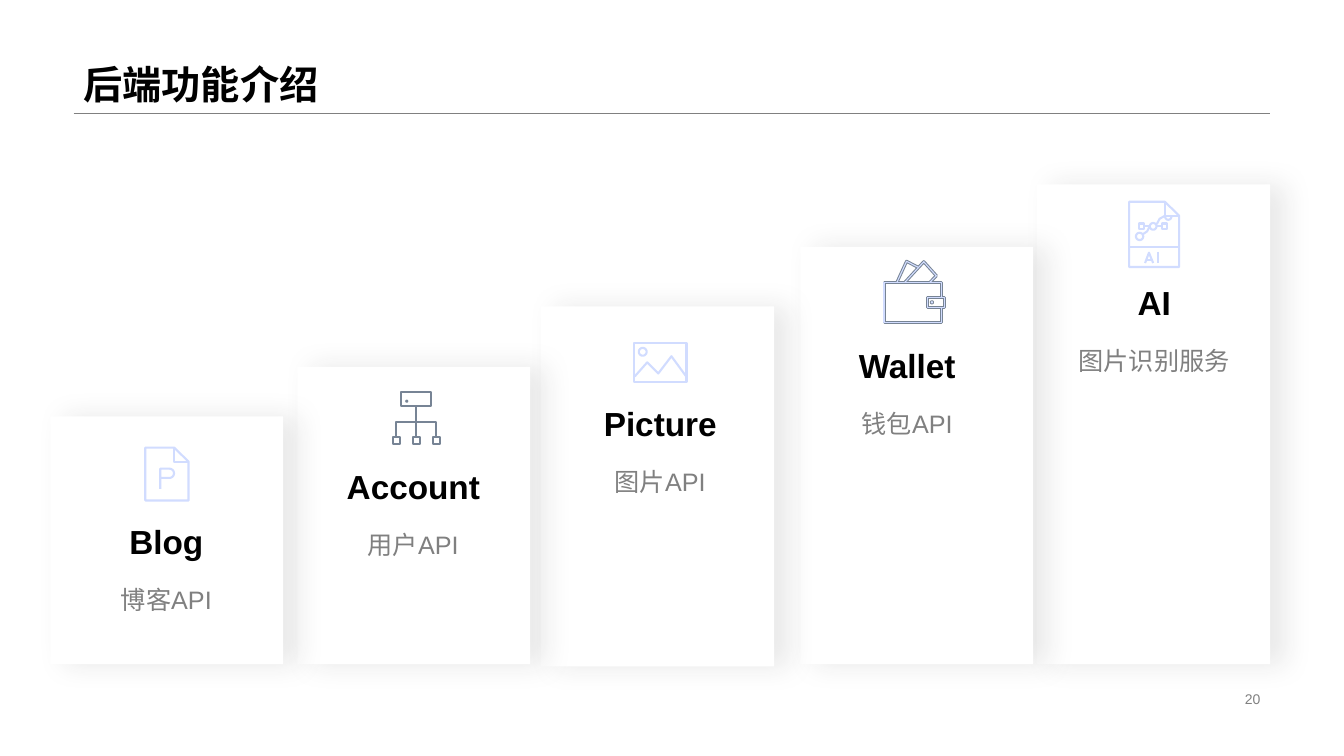
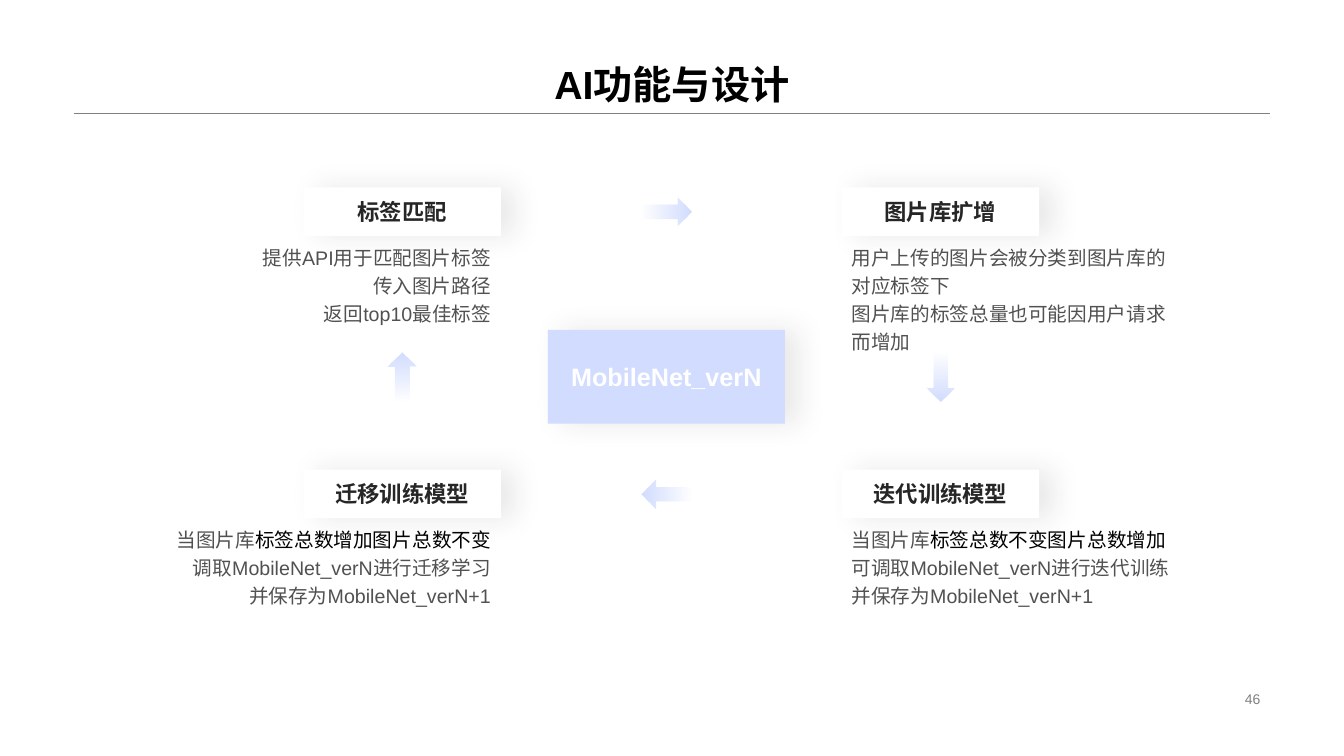
from math import cos, radians, sin

from lxml import etree
from pptx import Presentation
from pptx.dml.color import RGBColor
from pptx.enum.lang import MSO_LANGUAGE_ID as Lang
from pptx.enum.shapes import MSO_CONNECTOR, MSO_SHAPE as Shape
from pptx.enum.text import MSO_ANCHOR as Anchor, PP_ALIGN as Align
from pptx.oxml.ns import qn
from pptx.util import Pt

BLACK = RGBColor(0x00, 0x00, 0x00)
INK = RGBColor(0x26, 0x26, 0x26)
BODY = RGBColor(0x51, 0x51, 0x51)
GRAY = RGBColor(0x80, 0x80, 0x80)
SLATE = RGBColor(0x77, 0x84, 0x95)
PALE = RGBColor(0xD1, 0xDC, 0xFF)
WHITE = RGBColor(0xFF, 0xFF, 0xFF)
FONT = "Arial"

MARGIN, RULE_Y, RULE_W = 52.6, 80.8, 854.7


def arc(cx, cy, r, start=0, sweep=360, steps=24):
    """Points along a circle, clockwise, angles in degrees."""
    angles = [radians(start + sweep * i / steps) for i in range(steps + 1)]
    return [(cx + r * cos(a), cy + r * sin(a)) for a in angles]


def ring(cx, cy, r):
    points = arc(cx, cy, r)
    return points[:-1] + points[:1]


def box(left, top, right, bottom):
    return [(left, top), (right, top), (right, bottom), (left, bottom), (left, top)]


def square(cx, cy, half):
    return box(cx - half, cy - half, cx + half, cy + half)


def folded_page(right, bottom, fold_x, fold_y, edge=0.8):
    """Outline of a sheet and its folded corner."""
    return [
        [(edge, edge), (fold_x, edge), (right, fold_y), (right, bottom),
         (edge, bottom), (edge, edge)],
        [(fold_x, edge), (fold_x, fold_y), (right, fold_y)],
    ]


# Each icon is a list of strokes, in points from its own corner.
LEAVES_X = (3.6, 18, 32.4)
BLOG_ICON = folded_page(31.7, 38.5, 21.5, 10.8) + [
    [(11.5, 30.2), (11.5, 15.8)] + arc(18, 19.1, 3.3, -90, 180) + [(11.5, 22.4)],
]
ACCOUNT_ICON = [
    box(7.2, 0.8, 28.8, 10.8),
    ring(11.2, 7.2, 0.4),
    [(18, 10.8), (18, 32.5)],
    [(3.6, 32.5), (3.6, 22.3), (32.4, 22.3), (32.4, 32.5)],
] + [square(x, 35.5, 2.5) for x in LEAVES_X]
PICTURE_ICON = [
    box(0.8, 0.8, 38.2, 28.8),
    [(1.2, 24.8), (10.1, 14.8), (18, 22.7), (27.4, 10.4), (37.6, 24.3)],
    ring(6.9, 7.2, 2.8),
]
WALLET_ICON = [
    [(41.8, 33.8), (41.8, 44.6), (0.8, 44.6), (0.8, 15.8), (41.8, 15.8), (41.8, 26.6)],
    box(31.7, 26.6, 43.9, 33.8),
    ring(35, 30.2, 0.4),
    [(15.8, 15.8), (29.2, 1.2), (38.2, 11.2), (33.7, 15.8)],
    [(10.1, 15.8), (16.9, 0.9), (25.2, 5.2)],
]
AI_ICON = folded_page(36.5, 47.4, 26.3, 10.7) + [
    [(0.8, 33.1), (36.5, 33.1)],
    ring(8.3, 25.6, 2.6),
    ring(18, 18.4, 2.4),
    arc(28.8, 11.5, 2.2, 0, 180),
    square(9.7, 18.2, 1.8),
    square(26.3, 18.2, 1.8),
    [(11.5, 18.2), (15.6, 18.2)],
    [(20.4, 18.2), (24.5, 18.2)],
    [(10.4, 24.2), (13.7, 22), (15.4, 18.6)],
    [(20.6, 16.8), (22.6, 13), (26.2, 11)],
    [(12.2, 44.6), (15, 37.2), (18, 44.6)],
    [(13.4, 42.4), (16.9, 42.4)],
    [(21.5, 36.7), (21.5, 44.6)],
]
PALE_STROKES = [(PALE, 1.5)]
SLATE_STROKES = [(SLATE, 1.4)]
OUTLINED_STROKES = [(SLATE, 2.2), (PALE, 0.8)]

# name, caption, card left, card top, card bottom, name top, icon, strokes, icon corner
SERVICES = [
    ("Blog", "博客API", 36, 297.4, 474.5, 373.7, BLOG_ICON, PALE_STROKES, (103, 319)),
    ("Account", "用户API", 212.4, 262.1, 474.5, 334.1, ACCOUNT_ICON, SLATE_STROKES,
     (279.4, 279.4)),
    ("Picture", "图片API", 386.6, 218.9, 476, 289.4, PICTURE_ICON, PALE_STROKES,
     (452.2, 244.1)),
    ("Wallet", "钱包API", 571.7, 176.4, 474.5, 247.7, WALLET_ICON, OUTLINED_STROKES,
     (630.7, 185.8)),
    ("AI", "图片识别服务", 740.9, 131.8, 474.5, 203, AI_ICON, PALE_STROKES,
     (805.7, 143.3)),
]
CARD_W = 166.3
LABEL_LEFT, LABEL_STEP, LABEL_W = 46.1, 176.4, 145.4

# column, row, heading, paragraphs; the second run of a paragraph is emphasised
STAGES = [
    (1, 0, "图片库扩增", [
        ("用户上传的图片会被分类到图片库的对应标签下",),
        ("图片库的标签总量也可能因用户请求而增加",)]),
    (1, 1, "迭代训练模型", [
        ("当图片库", "标签总数不变图⽚总数增加"),
        ("可调取MobileNet_verN进行迭代训练",),
        ("并保存为MobileNet_verN+1",)]),
    (0, 0, "标签匹配", [
        ("提供API用于匹配图片标签",),
        ("传入图片路径",),
        ("返回top10最佳标签",)]),
    (0, 1, "迁移训练模型", [
        ("当图片库", "标签总数增加图⽚总数不变"),
        ("调取MobileNet_verN进行迁移学习",),
        ("并保存为MobileNet_verN+1",)]),
]
STAGE_X, STAGE_Y = (216.7, 601.2), (133.9, 335.5)
STAGE_W, STAGE_H, DETAIL_W = 141.1, 34.6, 245.5
MODEL_NAME = "MobileNet_verN"
MODEL_W, MODEL_H = 169.2, 67
HUB_X, HUB_Y = 476, 269.1
ARROW_LONG, ARROW_WIDE = 35.3, 20.2


def write(shape, paragraphs, size, color, bold=False, align=Align.LEFT,
          anchor=Anchor.TOP, spacing=None, emphasis=BLACK):
    """Fill a shape with paragraphs, each a tuple of one plain and maybe one strong run."""
    tf = shape.text_frame
    tf.word_wrap = True
    tf.vertical_anchor = anchor
    for i, texts in enumerate(paragraphs):
        p = tf.paragraphs[0] if i == 0 else tf.add_paragraph()
        p.alignment = align
        if spacing:
            p.line_spacing = spacing
        for text, run_color in zip(texts, (color, emphasis)):
            r = p.add_run()
            r.text = text
            r.font.name = FONT
            r.font.size = Pt(size)
            r.font.bold = bold
            r.font.color.rgb = run_color
            r.font.language_id = Lang.SIMPLIFIED_CHINESE


def add_text(s, left, top, width, height, paragraphs, size, color, **style):
    tb = s.shapes.add_textbox(Pt(left), Pt(top), Pt(width), Pt(height))
    write(tb, paragraphs, size, color, **style)


def add_shape(s, kind, left, top, width, height):
    sp = s.shapes.add_shape(kind, Pt(left), Pt(top), Pt(width), Pt(height))
    sp.shadow.inherit = False
    sp.line.fill.background()
    return sp


def add_card(s, left, top, width, height, fill=WHITE):
    """Plain rectangle with a soft shadow to its right."""
    sp = add_shape(s, Shape.RECTANGLE, left, top, width, height)
    sp.fill.solid()
    sp.fill.fore_color.rgb = fill
    effects = sp.element.spPr.find(qn("a:effectLst"))
    shadow = etree.SubElement(effects, qn("a:outerShdw"), blurRad=str(Pt(20)),
                              dist=str(Pt(10)), dir="0", algn="l", rotWithShape="0")
    tint = etree.SubElement(shadow, qn("a:srgbClr"), val=str(INK))
    etree.SubElement(tint, qn("a:alpha"), val="10000")
    return sp


def add_icon(s, strokes, corner, color, weight):
    lines = [[(Pt(corner[0] + x), Pt(corner[1] + y)) for x, y in line] for line in strokes]
    builder = s.shapes.build_freeform(*lines[0][0])
    for i, line in enumerate(lines):
        if i:
            builder.move_to(*line[0])
        builder.add_line_segments(line[1:], close=line[0] == line[-1])
    sp = builder.convert_to_shape()
    sp.shadow.inherit = False
    sp.fill.background()
    sp.line.color.rgb = color
    sp.line.width = Pt(weight)


def add_fading_arrow(s, kind, cx, cy, width, height, angle):
    """Arrow that fades in towards its head; angle is counter-clockwise."""
    sp = add_shape(s, kind, cx - width / 2, cy - height / 2, width, height)
    sp.fill.gradient()
    sp.fill.gradient_angle = angle
    for stop in sp.fill.gradient_stops:
        stop.color.rgb = PALE
    tail = sp.element.spPr.find(".//" + qn("a:srgbClr"))
    etree.SubElement(tail, qn("a:alpha"), val="0")


def add_base_slide(prs, title, number, align=Align.LEFT):
    """Slide with the title, the rule below it and the page number."""
    s = prs.slides.add_slide(prs.slide_layouts[6])
    rule = s.shapes.add_connector(MSO_CONNECTOR.STRAIGHT, Pt(MARGIN), Pt(RULE_Y),
                                  Pt(MARGIN + RULE_W), Pt(RULE_Y))
    rule.line.color.rgb = GRAY
    rule.line.width = Pt(0.25)
    etree.SubElement(rule.element.spPr, qn("a:effectLst"))
    add_text(s, MARGIN, 0, RULE_W, RULE_Y, [(title,)], 28, BLACK, bold=True,
             align=align, anchor=Anchor.BOTTOM, spacing=0.9)
    add_text(s, 678.3, 491, 229, 16.6, [(number,)], 10, GRAY,
             align=Align.RIGHT, anchor=Anchor.MIDDLE)
    return s


def build_services(prs):
    s = add_base_slide(prs, "后端功能介绍", "20")
    for _, _, left, top, bottom, *_ in reversed(SERVICES):
        add_card(s, left, top, CARD_W, bottom - top)
    for i, (name, caption, _, _, _, y, icon, layers, corner) in enumerate(SERVICES):
        x = LABEL_LEFT + i * LABEL_STEP
        for color, weight in layers:
            add_icon(s, icon, corner, color, weight)
        add_text(s, x, y, LABEL_W, 31, [(name,)], 23.8, BLACK, bold=True,
                 align=Align.CENTER, anchor=Anchor.BOTTOM)
        add_text(s, x, y + 36, LABEL_W, 61, [(caption,)], 18, GRAY,
                 align=Align.CENTER, spacing=1.2)


def build_training_cycle(prs):
    s = add_base_slide(prs, "AI功能与设计", "46", Align.CENTER)
    model = add_card(s, HUB_X - MODEL_W / 2, HUB_Y - MODEL_H / 2, MODEL_W, MODEL_H, PALE)
    write(model, [(MODEL_NAME,)], 18, WHITE, bold=True, align=Align.CENTER,
          anchor=Anchor.MIDDLE)
    for column, row, heading, details in STAGES:
        x, y = STAGE_X[column], STAGE_Y[row]
        card = add_card(s, x, y, STAGE_W, STAGE_H)
        write(card, [(heading,)], 16, INK, bold=True, align=Align.CENTER,
              anchor=Anchor.MIDDLE)
        detail_x = x if column else x + STAGE_W - DETAIL_W
        add_text(s, detail_x, y + STAGE_H, DETAIL_W, 68.4, details, 14, BODY,
                 align=Align.LEFT if column else Align.RIGHT, spacing=1.2)

    left_x, right_x = (x + STAGE_W / 2 for x in STAGE_X)
    top_y, bottom_y = (y + STAGE_H / 2 for y in STAGE_Y)
    across, along = (ARROW_LONG, ARROW_WIDE), (ARROW_WIDE, ARROW_LONG)
    for kind, cx, cy, size, angle in [
        (Shape.RIGHT_ARROW, HUB_X, top_y, across, 0),
        (Shape.LEFT_ARROW, HUB_X, bottom_y, across, 180),
        (Shape.DOWN_ARROW, right_x, HUB_Y, along, 270),
        (Shape.UP_ARROW, left_x, HUB_Y, along, 90),
    ]:
        add_fading_arrow(s, kind, cx, cy, *size, angle)


def main():
    prs = Presentation()
    prs.slide_width, prs.slide_height = Pt(960), Pt(540)
    build_services(prs)
    build_training_cycle(prs)
    prs.save("out.pptx")


if __name__ == "__main__":
    main()
